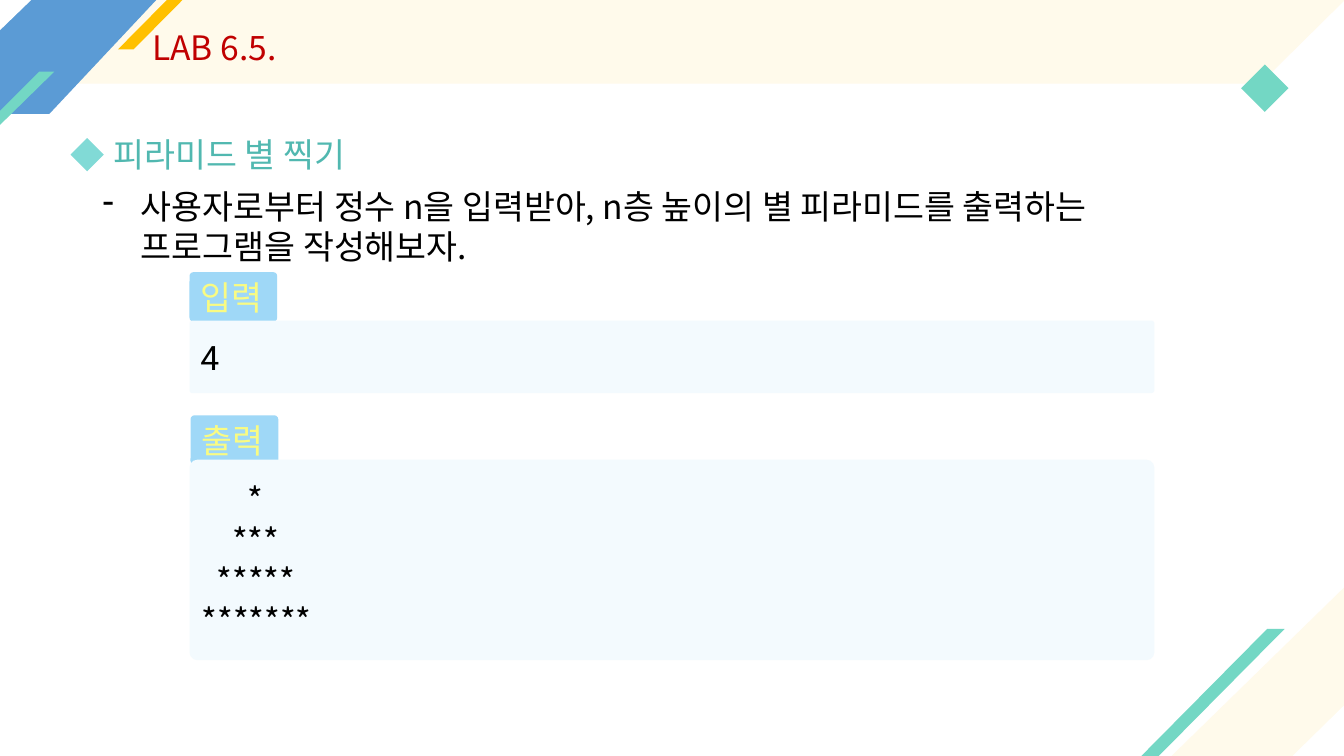
from pptx import Presentation
from pptx.dml.color import RGBColor
from pptx.enum.shapes import MSO_SHAPE
from pptx.enum.text import MSO_ANCHOR, MSO_AUTO_SIZE, PP_ALIGN
from pptx.oxml.ns import qn
from pptx.util import Inches, Pt
from lxml.etree import SubElement

CREAM, TEAL, WHITE, BLACK = "FFFAEB", "73D7C4", "FFFFFF", "000000"
KOREAN = "Noto Sans CJK KR"


def color(code):
    return RGBColor.from_string(code)


class Page:
    def __init__(self, slide, font=KOREAN, size=24):
        self.slide, self.font, self.size = slide, font, size
        slide.background.fill.solid()
        slide.background.fill.fore_color.rgb = color(WHITE)

    def paint(self, shape, fill):
        shape.shadow.inherit = False
        shape.fill.solid()
        shape.fill.fore_color.rgb = color(fill)
        shape.line.fill.background()
        return shape

    def shape(self, kind, at, fill, adj=None, flip=None):
        shape = self.slide.shapes.add_shape(kind, *map(Inches, at))
        if adj is not None:
            shape.adjustments[0] = adj
        if flip:
            shape._element.spPr.find(qn("a:xfrm")).set(flip, "1")
        return self.paint(shape, fill)

    def outline(self, points, fill):
        start, *rest = [(Inches(x), Inches(y)) for x, y in points]
        pen = self.slide.shapes.build_freeform(*start)
        pen.add_line_segments(rest, close=True)
        return self.paint(pen.convert_to_shape(), fill)

    def letter(self, frame, lines, ink, font=None):
        """Fill a text frame with one styled paragraph per line."""
        frame.word_wrap = True
        frame.text = "\n".join(lines)
        for para in frame.paragraphs:
            para.alignment = PP_ALIGN.LEFT
            for run in para.runs:
                run.font.name = font or self.font
                run.font.size = Pt(self.size)
                run.font.color.rgb = color(ink)
                east = SubElement(run.font._element, qn("a:ea"))
                east.set("typeface", self.font)

    def text(self, at, words, ink):
        frame = self.slide.shapes.add_textbox(*map(Inches, at)).text_frame
        self.letter(frame, [words], ink)
        frame.auto_size = MSO_AUTO_SIZE.SHAPE_TO_FIT_TEXT
        return frame

    def panel(self, at, fill, adj, lines, ink, font=None):
        shape = self.shape(MSO_SHAPE.ROUNDED_RECTANGLE, at, fill, adj)
        shape.text_frame.vertical_anchor = MSO_ANCHOR.MIDDLE
        self.letter(shape.text_frame, lines, ink, font)
        return shape.text_frame

    def indent(self, para, left, first=0, bullet=None):
        props = para._p.get_or_add_pPr()
        props.set("marL", str(Inches(left)))
        props.set("indent", str(Inches(first)))
        if bullet:
            SubElement(props, qn("a:buChar")).set("char", bullet)


def decorate(page):
    corner, band = MSO_SHAPE.RIGHT_TRIANGLE, MSO_SHAPE.PARALLELOGRAM
    page.shape(corner, (11.62, 5.83, 1.71, 1.67), CREAM, flip="flipH")
    page.shape(band, (0.38, 0, 12.33, 0.83), CREAM)
    page.shape(corner, (12.5, 0, 0.84, 0.83), CREAM, flip="flipV")
    page.shape(MSO_SHAPE.DIAMOND, (12.31, 0.64, 0.47, 0.47), TEAL)
    page.outline([(0, 0), (1.55, 0), (0.49, 1.13), (0, 1.13)], "5B9BD5")
    page.shape(corner, (0, 0, 0.31, 0.3), WHITE, flip="flipV")
    page.shape(corner, (12.82, 7, 0.51, 0.5), WHITE, flip="flipH")
    page.shape(band, (11.32, 6.24, 1.42, 1.26), TEAL, 0.99)
    page.shape(band, (1.17, 0, 0.64, 0.49), "FFC000", 0.99)
    page.outline([(0, 1.1), (0.39, 0.71), (0.54, 0.71), (0, 1.24)], TEAL)


def explain(page):
    page.text((1.41, 0.22, 7.71, 0.5), "LAB 6.5.", "C00000")
    page.text((1.03, 1.28, 6.41, 0.5), "피라미드 별 찍기", "51B8B0")
    page.shape(MSO_SHAPE.DIAMOND, (0.7, 1.37, 0.33, 0.33), "81DAD6")
    task = page.text(
        (0.92, 1.79, 11.04, 0.91),
        "사용자로부터 정수 n을 입력받아, n층 높이의 별 피라미드를 "
        "출력하는 프로그램을 작성해보자.", BLACK)
    page.indent(task.paragraphs[0], 0.38, -0.38, "-")


def sample(page, rows=4):
    stars = ["*" * (2 * row + 1) for row in range(rows)]
    cases = [
        ("입력", 1.88, 2.7, 3.18, 0.72, [str(rows)], "Roboto"),
        ("출력", 1.89, 4.12, 4.56, 1.99, stars, KOREAN),
    ]
    for label, left, top, below, height, lines, font in cases:
        page.panel((left, top, 0.87, 0.49), "9FD8F7", 0.08, [label], "F9FB83")
        frame = page.panel((1.88, below, 9.57, height), "F3FAFE", 0.04,
                           lines, BLACK, font)
        for row, para in enumerate(frame.paragraphs):
            page.indent(para, 0.15 * (len(lines) - 1 - row))


def main():
    deck = Presentation()
    deck.slide_width, deck.slide_height = Inches(13.33), Inches(7.5)
    page = Page(deck.slides.add_slide(deck.slide_layouts[6]))
    decorate(page)
    explain(page)
    sample(page)
    deck.save("out.pptx")


if __name__ == "__main__":
    main()
